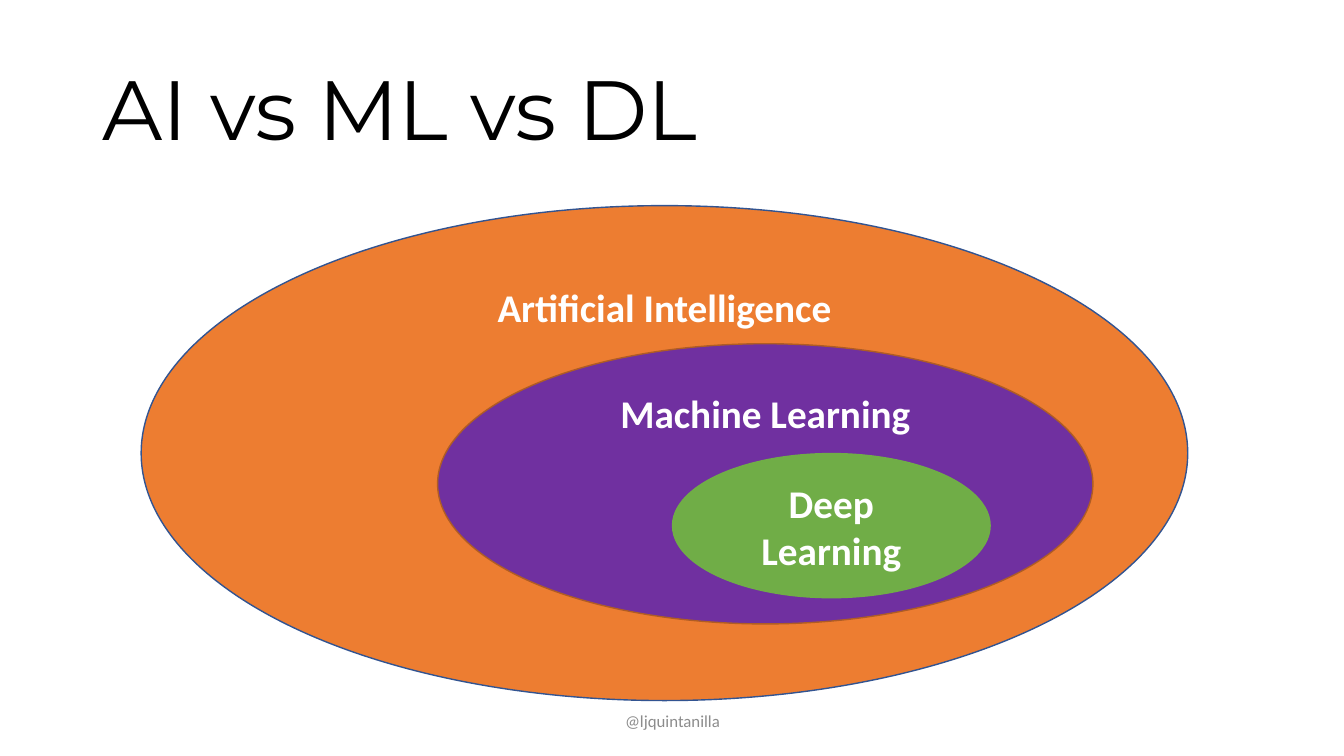
from pptx import Presentation
from pptx.dml.color import RGBColor
from pptx.enum.shapes import MSO_SHAPE
from pptx.enum.text import MSO_ANCHOR, PP_ALIGN
from pptx.util import Inches, Pt

BLACK = RGBColor(0x00, 0x00, 0x00)
WHITE = RGBColor(0xFF, 0xFF, 0xFF)
GRAY = RGBColor(0x8C, 0x8C, 0x8C)
ORANGE = RGBColor(0xED, 0x7D, 0x31)
PURPLE = RGBColor(0x70, 0x30, 0xA0)
GREEN = RGBColor(0x70, 0xAD, 0x47)
NAVY = RGBColor(0x32, 0x54, 0x91)
BROWN = RGBColor(0xAF, 0x5C, 0x24)

FIELDS = [
    ("Artificial Intelligence", (0, 0, 10.38, 4.91), ORANGE, NAVY),
    ("Machine Learning", (2.94, 1.37, 6.5, 2.78), PURPLE, BROWN),
    ("Deep Learning", (5.27, 2.46, 3.15, 1.43), GREEN, GREEN),
]


def write_text(sp, text, size=28, font="Calibri", color=WHITE, bold=False,
               align=PP_ALIGN.CENTER, anchor=MSO_ANCHOR.MIDDLE, spacing=None):
    """Put one formatted paragraph into a shape."""
    tf = sp.text_frame
    tf.word_wrap = True
    tf.vertical_anchor = anchor
    p = tf.paragraphs[0]
    p.alignment = align
    p.line_spacing = spacing
    r = p.add_run()
    r.text = text
    r.font.size = Pt(size)
    r.font.name = font
    r.font.bold = bold
    r.font.color.rgb = color


def add_text(s, box, text, **fmt):
    """Add a text box at the given box in inches."""
    sp = s.shapes.add_textbox(*map(Inches, box))
    write_text(sp, text, **fmt)


def add_nested_fields(s, left, top):
    """Draw the nested ellipses from the given top left corner."""
    for label, (x, y, width, height), fill, line in FIELDS:
        box = (left + x, top + y, width, height)
        sp = s.shapes.add_shape(MSO_SHAPE.OVAL, *map(Inches, box))
        sp.shadow.inherit = False
        sp.fill.solid()
        sp.fill.fore_color.rgb = fill
        sp.line.color.rgb = line
        sp.line.width = Pt(1)
        write_text(sp, label, bold=True, anchor=MSO_ANCHOR.TOP)


def main():
    """Build the slide and save it."""
    prs = Presentation()
    prs.slide_width = Inches(13.33)
    prs.slide_height = Inches(7.5)
    s = prs.slides.add_slide(prs.slide_layouts[6])
    add_text(s, (0.92, 0.4, 11.5, 1.45), "AI vs ML vs DL", size=60,
             font="Montserrat", color=BLACK, align=PP_ALIGN.LEFT, spacing=0.9)
    add_nested_fields(s, 1.4, 2.04)
    add_text(s, (4.42, 6.95, 4.5, 0.4), "@ljquintanilla", size=12, color=GRAY)
    prs.save("out.pptx")


if __name__ == "__main__":
    main()
